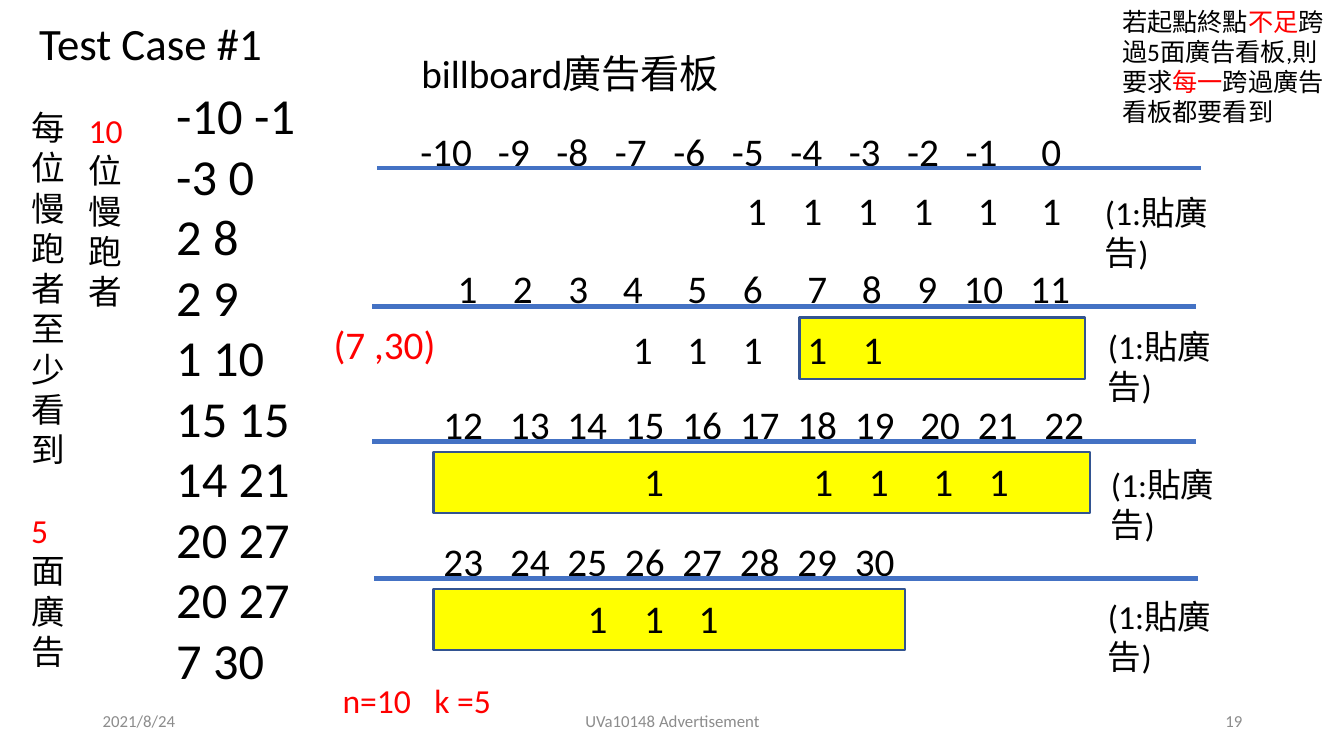
"""Build the billboard test case slide with its four number lines."""
import pptx
import pptx.util
import pptx.dml.color
import pptx.enum.shapes
import pptx.enum.text
from lxml import etree

Inches = pptx.util.Inches
Align = pptx.enum.text.PP_ALIGN
Anchor = pptx.enum.text.MSO_ANCHOR

THEME = {
    "latin": "Calibri", "asian": "Noto Sans CJK SC", "leading": 1.2,
    "ink": "000000", "red": "FF0000", "grey": "8C8C8C",
    "bar": "FFFF00", "bar_line": "325491", "axis": "4472C4",
    "title": 32, "cases": 36, "number": 28, "label": 24, "note": 18, "footer": 12,
}
INSET = 0.1
AXIS_LENGTH = 8.17
BAR_HEIGHT = 0.61
ROW_HEIGHT = 0.57

CASES = ["-10 -1", "-3 0", "2 8", "2 9", "1 10", "15 15", "14 21", "20 27", "20 27", "7 30"]
BARS = [(7.93, 3.15, 2.83), (4.3, 4.48, 6.51), (4.3, 5.84, 4.68)]
AXES = [(3.74, 1.67), (3.69, 3.04), (3.69, 4.38), (3.71, 5.74)]
AD_LABELS = [(10.86, 1.85), (10.89, 3.18), (10.92, 4.55), (10.89, 5.86)]
TENS = [4.4, 5.06, 5.63, 6.2, 6.77, 7.34, 7.91, 8.48]

NUMBER_ROWS = [
    (4.07, 1.21, 6.63, range(-10, 1),
     [4.17, 4.94, 5.52, 6.1, 6.68, 7.26, 7.84, 8.42, 9.0, 9.58, 10.33]),
    (4.18, 2.57, 6.94, range(1, 12),
     [4.54, 5.09, 5.64, 6.18, 6.82, 7.37, 8.01, 8.55, 9.1, 9.56, 10.22]),
    (4.3, 3.92, 6.94, range(12, 23), TENS + [9.13, 9.7, 10.36]),
    (4.3, 5.28, 4.99, range(23, 31), TENS),
]
AD_ROWS = [
    (4.07, 1.8, 6.75, [7.41, 7.96, 8.51, 9.06, 9.7, 10.33]),
    (4.07, 3.18, 6.2, [6.28, 6.82, 7.37, 8.01, 8.56]),
    (4.18, 4.49, 6.2, [6.39, 8.07, 8.62, 9.26, 9.81]),
    (4.07, 5.85, 6.2, [5.83, 6.39, 6.93]),
]
FOOTERS = [
    (0.92, 3, "2021/8/24", Align.LEFT),
    (4.42, 4.5, "UVa10148 Advertisement", Align.CENTER),
    (9.42, 3, "19", Align.RIGHT),
]
TEXTS = [
    ((0.29, 0.11, 2.7, 0.64), "title", [[("Test Case #1", "ink")]]),
    ((1.65, 0.79, 1.73, 6.16), "cases", [[(case, "ink")] for case in CASES]),
    ((4.08, 0.44, 3.31, 0.57), "number", [[("billboard廣告看板", "ink")]]),
    ((0.78, 1.04, 0.7, 2.12), "label", [[("10", "red"), ("位慢跑者", "ink")]]),
    ((3.21, 3.13, 1.46, 0.57), "number", [[("(7 ,30)", "red")]]),
    ((11.03, 0.01, 2.22, 1.31), "note", [[
        ("若起點終點", "ink"), ("不足", "red"), ("跨過5面廣告看板,則要求", "ink"),
        ("每一", "red"), ("跨過廣告看板都要看到", "ink")]]),
]
TEXTS += [((left, top, 1.58, 0.5), "label", [[("(1:貼廣告)", "ink")]]) for left, top in AD_LABELS]


def color(name):
    return pptx.dml.color.RGBColor.from_string(THEME[name])


def add_text(page, place, size, paragraphs, align=Align.LEFT, anchor=Anchor.TOP):
    box = page.shapes.add_textbox(*map(Inches, place))
    frame = box.text_frame
    frame.word_wrap = True
    frame.vertical_anchor = anchor
    for index, spans in enumerate(paragraphs):
        para = frame.add_paragraph() if index else frame.paragraphs[0]
        para.alignment = align
        para.line_spacing = pptx.util.Pt(THEME[size] * THEME["leading"])
        for text, ink in spans:
            span = para.add_run()
            span.text = text
            span.font.size = pptx.util.Pt(THEME[size])
            span.font.name = THEME["latin"]
            span.font.color.rgb = color(ink)
            asian = etree.SubElement(span.font._element, pptx.oxml.ns.qn("a:ea"))
            asian.set("typeface", THEME["asian"])
    return box


def add_tabbed(page, place, size, values, stops, ink="ink"):
    start = place[0] + INSET
    offsets = [stop - start for stop in stops]
    text = "".join(("\t" if offset > 0.01 else "") + str(value)
                   for value, offset in zip(values, offsets))
    box = add_text(page, place, size, [[(text, ink)]])
    properties = box.text_frame.paragraphs[0]._p.get_or_add_pPr()
    tabs = etree.SubElement(properties, pptx.oxml.ns.qn("a:tabLst"))
    for offset in offsets:
        if offset > 0.01:
            tab = etree.SubElement(tabs, pptx.oxml.ns.qn("a:tab"))
            tab.set("pos", str(Inches(offset)))
            tab.set("algn", "l")


def add_bar(page, left, top, width):
    bar = page.shapes.add_shape(pptx.enum.shapes.MSO_SHAPE.RECTANGLE,
                                *map(Inches, (left, top, width, BAR_HEIGHT)))
    bar.shadow.inherit = False
    bar.fill.solid()
    bar.fill.fore_color.rgb = color("bar")
    bar.line.color.rgb = color("bar_line")
    bar.line.width = pptx.util.Pt(1.5)


def add_axis(page, left, top):
    axis = page.shapes.add_connector(pptx.enum.shapes.MSO_CONNECTOR.STRAIGHT,
                                     *map(Inches, (left, top, left + AXIS_LENGTH, top)))
    axis.line.color.rgb = color("axis")
    axis.line.width = pptx.util.Pt(3)
    etree.SubElement(axis._element.spPr, pptx.oxml.ns.qn("a:effectLst"))


deck = pptx.Presentation()
deck.slide_width, deck.slide_height = Inches(13.33), Inches(7.5)
page = deck.slides.add_slide(deck.slide_layouts[6])

for bar in BARS:
    add_bar(page, *bar)
for left, width, text, align in FOOTERS:
    add_text(page, (left, 6.95, width, 0.4), "footer", [[(text, "grey")]], align, Anchor.MIDDLE)
for left, top, width, numbers, stops in NUMBER_ROWS:
    add_tabbed(page, (left, top, width, ROW_HEIGHT), "number", numbers, stops)
for left, top, width, stops in AD_ROWS:
    add_tabbed(page, (left, top, width, ROW_HEIGHT), "number", [1] * len(stops), stops)
for place, size, paragraphs in TEXTS:
    add_text(page, place, size, paragraphs)
for axis in AXES:
    add_axis(page, *axis)
add_tabbed(page, (3.3, 6.7, 2, 0.5), "label", ["n=10", "k =5"], [3.4, 4.31], "red")
rule = add_text(page, (0.21, 1.01, 0.46, 5.35), "label",
                [[("每位慢跑者至少看到", "ink")], [("5", "red"), ("面廣告", "ink")]])
rule.text_frame.paragraphs[1].space_before = pptx.util.Pt(THEME["label"] * THEME["leading"])

deck.save("out.pptx")
